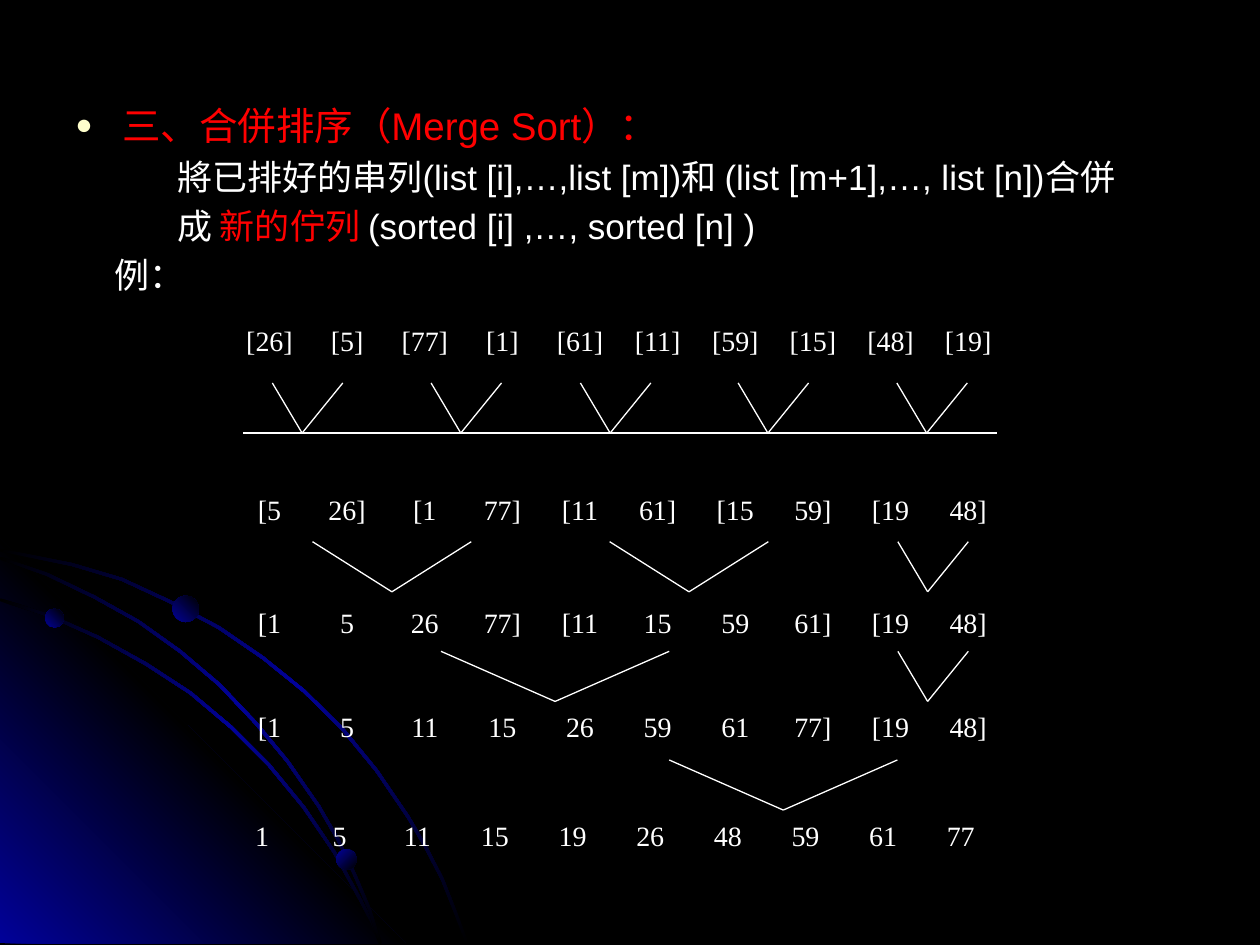
import dataclasses
import math
import typing

import lxml.etree
import pptx
import pptx.dml.color
import pptx.enum.shapes
import pptx.enum.text
import pptx.oxml.ns
import pptx.util

Cm = pptx.util.Cm
qn = pptx.oxml.ns.qn
Point = tuple[float, float]

COLORS = {"night": "000000", "blue": "010199", "text": "FFFFFF", "accent": "FF0000", "bullet": "FFFFCC"}
GLOW = ("night", "blue", "night")
NO_GRID_STYLE = "{2D5ABB26-0587-4C30-8999-92F81FD0307C}"
BAND_WIDTH = 0.06
MERGE_HEIGHT = 1.01
ROW_HEIGHT = 1.7
TABLE_WIDTH = 15.65


@dataclasses.dataclass
class Ball:
    left: float
    top: float
    size: float
    angle: int


@dataclasses.dataclass
class Merge:
    left: float
    top: float
    width: float = 1.42
    tip: float = 0.6


@dataclasses.dataclass
class Grid:
    left: float
    top: float
    rows: list[str]


@dataclasses.dataclass
class Line:
    spans: list[tuple[str, str]]
    margin: float
    size: int = 20
    bulleted: bool = False


ARCS = [
    [(0, 11.09), (0.71, 11.23), (1.45, 11.38), (2.46, 11.68), (3.43, 12.13), (4.41, 12.65), (5.3, 13.26),
     (6.13, 13.93), (6.9, 14.69), (7.59, 15.53), (8.23, 16.47), (8.59, 17.09), (8.92, 17.73), (9.17, 18.36),
     (9.42, 19.02)],
    [(0, 12.09), (1.02, 12.42), (1.98, 12.85), (2.95, 13.39), (3.84, 13.97), (4.66, 14.66), (5.42, 15.42),
     (6.12, 16.27), (6.74, 17.18), (7.25, 18.11), (7.49, 18.57), (7.67, 19.02)],
    [(0, 11.25), (0.95, 11.58), (1.91, 12.04), (2.79, 12.53), (3.63, 13.13), (4.42, 13.8), (5.16, 14.58),
     (5.79, 15.34), (6.43, 16.26), (6.81, 16.92), (7.14, 17.61), (7.44, 18.31), (7.67, 19.02)],
]
CORNER = [(0, 10.85), (8.18, 19.02), (0, 19.02)]
BALLS = [Ball(0.91, 12.27, 0.38, 315), Ball(6.78, 17.12, 0.41, 45), Ball(3.48, 12.01, 0.53, 315)]
LINES = [
    Line([("三、合併排序（Merge Sort）：", "accent")], 0.95, 22, True),
    Line([("將已排好的串列(list [i],…,list [m])和 (list [m+1],…, list [n])合併", "text")], 2.05),
    Line([("成 ", "text"), ("新的佇列 ", "accent"), ("(sorted [i] ,…, sorted [n] )", "text")], 2.05),
    Line([("例：", "text")], 0.78),
]
GRIDS = [
    Grid(4.65, 5.64, ["[26] [5] [77] [1] [61] [11] [59] [15] [48] [19]", "",
                      "[5 26] [1 77] [11 61] [15 59] [19 48]"]),
    Grid(4.65, 11.33, ["[1 5 26 77] [11 15 59 61] [19 48]"]),
    Grid(4.65, 13.41, ["[1 5 11 15 26 59 61 77] [19 48]"]),
    Grid(4.5, 15.62, ["1 5 11 15 19 26 48 59 61 77"]),
]
MERGES = [
    *[Merge(left, 7.72) for left in (5.49, 8.69, 11.7, 14.88, 18.08)],
    *[Merge(left, 10.92, 3.2, 1.6) for left in (6.3, 12.29)],
    Merge(18.1, 10.92),
    Merge(8.89, 13.13, 4.6, 2.3),
    Merge(18.1, 13.13),
    Merge(13.49, 15.32, 4.6, 2.3),
]


def color(name: str) -> pptx.dml.color.RGBColor:
    """Return a named colour."""
    return pptx.dml.color.RGBColor.from_string(COLORS[name])


def assign(target: typing.Any, values: dict[str, typing.Any]) -> None:
    """Set each format value on the target."""
    for name, value in values.items():
        setattr(target, name, value)


def add_child(parent: typing.Any, tag: str, **attributes: str) -> typing.Any:
    """Append an XML element and return it."""
    return lxml.etree.SubElement(parent, qn(tag), **attributes)


def paint(shape: typing.Any, names: tuple[str, ...], angle: int) -> None:
    """Fill a borderless shape with evenly spaced gradient stops."""
    shape.shadow.inherit = False
    shape.line.fill.background()
    shape.fill.gradient()
    shape.fill.gradient_angle = 360 - angle
    stops = shape.element.spPr.find(qn("a:gradFill")).find(qn("a:gsLst"))
    for stop in list(stops):
        stops.remove(stop)
    for index, name in enumerate(names):
        stop = add_child(stops, "a:gs", pos=str(100000 * index // (len(names) - 1)))
        add_child(stop, "a:srgbClr", val=COLORS[name])


def draw_outline(page: typing.Any, points: list[Point], names: tuple[str, ...], angle: int) -> None:
    """Draw a closed gradient outline."""
    start, *rest = [(Cm(x), Cm(y)) for x, y in points]
    builder = page.shapes.build_freeform(*start)
    builder.add_line_segments(rest, close=True)
    paint(builder.convert_to_shape(), names, angle)


def band(points: list[Point]) -> list[Point]:
    """Widen a curve into a thin band."""
    upper, lower = [], []
    for index, (x, y) in enumerate(points):
        before, after = points[max(index - 1, 0)], points[min(index + 1, len(points) - 1)]
        slope = math.atan2(after[1] - before[1], after[0] - before[0])
        dx, dy = math.sin(slope) * BAND_WIDTH / 2, math.cos(slope) * BAND_WIDTH / 2
        upper.append((max(x + dx, 0), y - dy))
        lower.append((max(x - dx, 0), y + dy))
    return upper + lower[::-1]


def draw_ball(page: typing.Any, ball: Ball) -> None:
    """Draw a shaded ball."""
    oval = pptx.enum.shapes.MSO_SHAPE.OVAL
    shape = page.shapes.add_shape(oval, Cm(ball.left), Cm(ball.top), Cm(ball.size), Cm(ball.size))
    paint(shape, ("blue", "night"), ball.angle)


def add_span(para: typing.Any, text: str, name: str, size: int, face: str) -> None:
    """Add a formatted span to a paragraph."""
    span = para.add_run()
    span.text = text
    assign(span.font, {"size": pptx.util.Pt(size), "name": face})
    span.font.color.rgb = color(name)


def draw_body(page: typing.Any, lines: list[Line]) -> None:
    """Write the explanation."""
    box = page.shapes.add_textbox(Cm(1.27), Cm(1.93), Cm(22.23), Cm(4.6))
    assign(box.text_frame, {"word_wrap": True, "margin_right": 0})
    for index, line in enumerate(lines):
        para = box.text_frame.add_paragraph() if index else box.text_frame.paragraphs[0]
        para.space_before = pptx.util.Pt(line.size / 5)
        for text, name in line.spans:
            add_span(para, text, name, line.size, "Arial")
        properties = para._p.get_or_add_pPr()
        properties.set("marL", str(Cm(line.margin)))
        if line.bulleted:
            properties.set("indent", str(-Cm(line.margin)))
            add_child(add_child(properties, "a:buClr"), "a:srgbClr", val=COLORS["bullet"])
            add_child(properties, "a:buSzPct", val="75000")
            add_child(properties, "a:buFont", typeface="Arial")
            add_child(properties, "a:buChar", char="●")


def draw_grid(page: typing.Any, grid: Grid) -> None:
    """Draw a table of list values, merging any empty row."""
    count = len(grid.rows)
    frame = page.shapes.add_table(
        count, 10, Cm(grid.left), Cm(grid.top), Cm(TABLE_WIDTH), Cm(ROW_HEIGHT * count))
    table = frame.table
    assign(table, {"first_row": False, "horz_banding": False})
    table._tbl.tblPr.find(qn("a:tableStyleId")).text = NO_GRID_STYLE
    for index, row in enumerate(grid.rows):
        for cell in table.rows[index].cells:
            cell.fill.background()
        if not row:
            table.cell(index, 0).merge(table.cell(index, 9))
        for column, text in enumerate(row.split()):
            cell = table.cell(index, column)
            cell.vertical_anchor = pptx.enum.text.MSO_ANCHOR.BOTTOM
            para = cell.text_frame.paragraphs[0]
            para.alignment = pptx.enum.text.PP_ALIGN.CENTER
            add_span(para, text, "text", 16, "Times New Roman")


def draw_line(shapes: typing.Any, start: Point, end: Point) -> None:
    """Draw a thin straight line."""
    straight = pptx.enum.shapes.MSO_CONNECTOR.STRAIGHT
    line = shapes.add_connector(straight, *[Cm(value) for value in (*start, *end)])
    line.line.width = pptx.util.Pt(0.75)
    line.line.color.rgb = color("text")
    add_child(line.element.spPr, "a:effectLst")


def draw_merge(page: typing.Any, merge: Merge) -> None:
    """Draw two lines meeting at a lower tip."""
    group = page.shapes.add_group_shape()
    tip = (merge.left + merge.tip, merge.top + MERGE_HEIGHT)
    for x in (merge.left, merge.left + merge.width):
        draw_line(group.shapes, (x, merge.top), tip)


def main() -> None:
    """Build the merge sort slide."""
    deck = pptx.Presentation()
    assign(deck, {"slide_width": Cm(25.4), "slide_height": Cm(19.05)})
    page = deck.slides.add_slide(deck.slide_layouts[6])
    page.background.fill.solid()
    page.background.fill.fore_color.rgb = color("night")
    draw_outline(page, CORNER, ("blue", "night", "blue"), 315)
    for arc in ARCS:
        draw_outline(page, band(arc), GLOW, 45)
    for ball in BALLS:
        draw_ball(page, ball)
    draw_body(page, LINES)
    for grid in GRIDS:
        draw_grid(page, grid)
    draw_line(page.shapes, (4.9, 8.73), (20.1, 8.73))
    for merge in MERGES:
        draw_merge(page, merge)
    deck.save("out.pptx")


if __name__ == "__main__":
    main()
